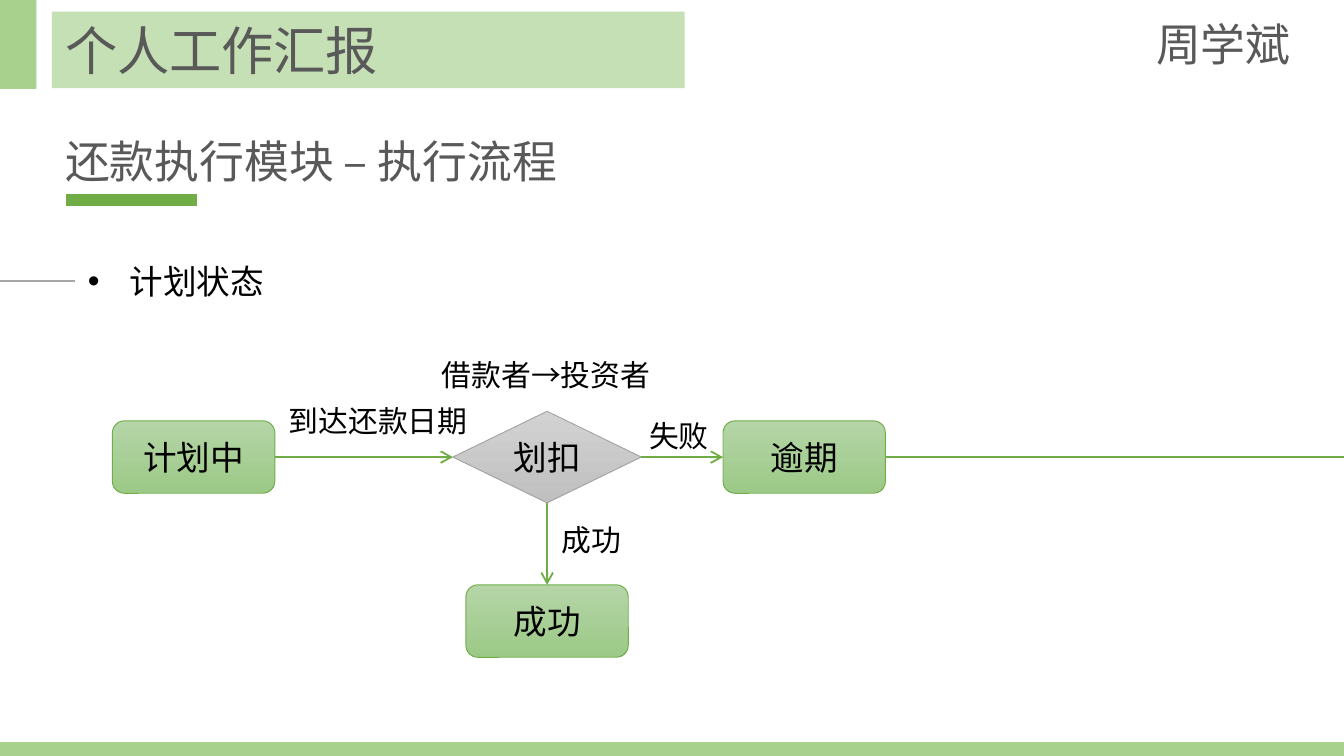
"""Build the repayment status flow slide of a work report."""
import pptx
import pptx.dml.color
import pptx.enum.shapes
import pptx.enum.text
import pptx.oxml
import pptx.oxml.ns
import pptx.util

Cm = pptx.util.Cm
Pt = pptx.util.Pt
SHAPES = pptx.enum.shapes.MSO_SHAPE
ALIGN = pptx.enum.text.PP_ALIGN
ANCHOR = pptx.enum.text.MSO_ANCHOR
AUTO_SIZE = pptx.enum.text.MSO_AUTO_SIZE

COLORS = {
    "band": "A9D18E",
    "title_band": "C5E0B4",
    "heading": "595959",
    "body": "000000",
    "green": "70AD47",
    "gray": "A5A5A5",
    "green_top": "B5D5A7",
    "green_bottom": "9CC987",
    "gray_top": "D2D2D2",
    "gray_bottom": "C0C0C0",
}
HEADING_FONT = "Noto Sans CJK SC"
BODY_FONT = "Calibri"
SLIDE_WIDTH, SLIDE_HEIGHT = 25.4, 14.29
STATE_WIDTH, STATE_HEIGHT = 3.07, 1.37
FLOW_Y = 8.64
TOP, LEFT, BOTTOM, RIGHT = range(4)


def rgb(name):
    """Return the named colour."""
    return pptx.dml.color.RGBColor.from_string(COLORS[name])


def add_element(parent, tag, **attributes):
    """Append a DrawingML element with the given attributes."""
    element = pptx.oxml.parse_xml(f"<a:{tag} {pptx.oxml.ns.nsdecls('a')}/>")
    for key, value in attributes.items():
        element.set(key, value)
    parent.append(element)


def write(paragraph, text, size, color="body", font=BODY_FONT):
    """Add one styled run to a paragraph."""
    run = paragraph.add_run()
    run.text = text
    run.font.size = Pt(size)
    run.font.name = font
    run.font.color.rgb = rgb(color)
    add_element(run.font._element, "ea", typeface=HEADING_FONT)


def add_band(slide, left, top, width, height, color):
    """Add a flat rectangle."""
    band = slide.shapes.add_shape(
        SHAPES.RECTANGLE, Cm(left), Cm(top), Cm(width), Cm(height))
    band.shadow.inherit = False
    band.fill.solid()
    band.fill.fore_color.rgb = rgb(color)
    band.line.fill.background()
    return band


def add_text(slide, text, left, top, width, height, size, wrap=False, **style):
    """Add a text box with one line and return its paragraph."""
    box = slide.shapes.add_textbox(Cm(left), Cm(top), Cm(width), Cm(height))
    box.text_frame.word_wrap = wrap
    box.text_frame.auto_size = AUTO_SIZE.SHAPE_TO_FIT_TEXT
    paragraph = box.text_frame.paragraphs[0]
    write(paragraph, text, size, **style)
    return paragraph


def add_bullet(paragraph, indent):
    """Give a paragraph a hanging round bullet."""
    properties = paragraph._p.get_or_add_pPr()
    properties.set("marL", str(Cm(indent)))
    properties.set("indent", str(-Cm(indent)))
    add_element(properties, "buFont", typeface="Arial")
    add_element(properties, "buChar", char="•")


def add_node(slide, text, center_x, center_y, kind=SHAPES.ROUNDED_RECTANGLE,
             width=STATE_WIDTH, height=STATE_HEIGHT, color="green"):
    """Add a gradient flow node around its centre."""
    node = slide.shapes.add_shape(
        kind, Cm(center_x - width / 2), Cm(center_y - height / 2),
        Cm(width), Cm(height))
    node.shadow.inherit = False
    node.fill.gradient()
    node.fill.gradient_angle = 270
    for stop, end, position in zip(node.fill.gradient_stops, ("top", "bottom"), (0, 1)):
        stop.color.rgb = rgb(f"{color}_{end}")
        stop.position = position
    node.line.color.rgb = rgb(color)
    node.line.width = Pt(0.5)
    node.text_frame.word_wrap = True
    node.text_frame.vertical_anchor = ANCHOR.MIDDLE
    paragraph = node.text_frame.paragraphs[0]
    paragraph.alignment = ALIGN.CENTER
    write(paragraph, text, 18)
    return node


def add_line(slide, start_x, end_x, y, color="green", width=1):
    """Add a horizontal line."""
    line = slide.shapes.add_connector(
        pptx.enum.shapes.MSO_CONNECTOR.STRAIGHT, Cm(start_x), Cm(y), Cm(end_x), Cm(y))
    line.line.color.rgb = rgb(color)
    line.line.width = Pt(width)
    add_element(line._element.spPr, "effectLst")
    return line


def add_arrow(slide, source, source_side, target, target_side):
    """Connect two nodes with an open arrow."""
    arrow = add_line(slide, 0, 0, FLOW_Y)
    arrow.begin_connect(source, source_side)
    arrow.end_connect(target, target_side)
    add_element(arrow.line._get_or_add_ln(), "tailEnd", type="arrow")


def add_header(slide):
    """Add the bands, the titles and the reporter's name."""
    heading = {"wrap": True, "color": "heading", "font": HEADING_FONT}
    add_band(slide, 0, 0, 0.69, 1.68, "band")
    add_band(slide, 0, SLIDE_HEIGHT - 0.26, SLIDE_WIDTH, 0.26, "band")
    title = add_band(slide, 0.98, 0.22, 11.96, 1.45, "title_band")
    title.text_frame.word_wrap = True
    title.text_frame.vertical_anchor = ANCHOR.TOP
    title.text_frame.auto_size = AUTO_SIZE.SHAPE_TO_FIT_TEXT
    title.text_frame.paragraphs[0].alignment = ALIGN.LEFT
    write(title.text_frame.paragraphs[0], "个人工作汇报", 28, "heading", HEADING_FONT)
    add_text(slide, "还款执行模块 – 执行流程", 0.98, 2.41, 19.63, 1.28, 24, **heading)
    add_line(slide, 1.24, 3.73, 3.78, width=6)
    add_text(slide, "周学斌", 21.6, 0.2, 3.07, 1.28, 24, **heading)


def add_flow(slide):
    """Add the plan states, their transitions and the labels."""
    planned = add_node(slide, "计划中", 3.66, FLOW_Y)
    deduct = add_node(slide, "划扣", 10.34, FLOW_Y, SHAPES.DIAMOND, 3.56, 1.73, "gray")
    success = add_node(slide, "成功", 10.34, 11.74)
    overdue = add_node(slide, "逾期", 15.2, FLOW_Y)
    add_arrow(slide, planned, RIGHT, deduct, LEFT)
    add_arrow(slide, deduct, BOTTOM, success, TOP)
    add_arrow(slide, deduct, RIGHT, overdue, LEFT)
    add_line(slide, 16.73, SLIDE_WIDTH, FLOW_Y)
    for text, left, top, width in (
        ("到达还款日期", 5.21, 7.49, 3.94),
        ("成功", 10.36, 9.73, 1.65),
        ("失败", 12.02, 7.77, 1.65),
        ("借款者→投资者", 8.1, 6.62, 4.45),
    ):
        add_text(slide, text, left, top, width, 0.94, 16)


def main():
    """Create and save the slide."""
    deck = pptx.Presentation()
    deck.slide_width, deck.slide_height = Cm(SLIDE_WIDTH), Cm(SLIDE_HEIGHT)
    slide = deck.slides.add_slide(deck.slide_layouts[6])
    add_header(slide)
    topic = add_text(slide, "计划状态", 1.41, 4.8, 3.89, 1.03, 18)
    add_bullet(topic, 0.79)
    add_line(slide, 0, 1.41, 5.31, "gray")
    add_flow(slide)
    deck.save("out.pptx")


if __name__ == "__main__":
    main()
